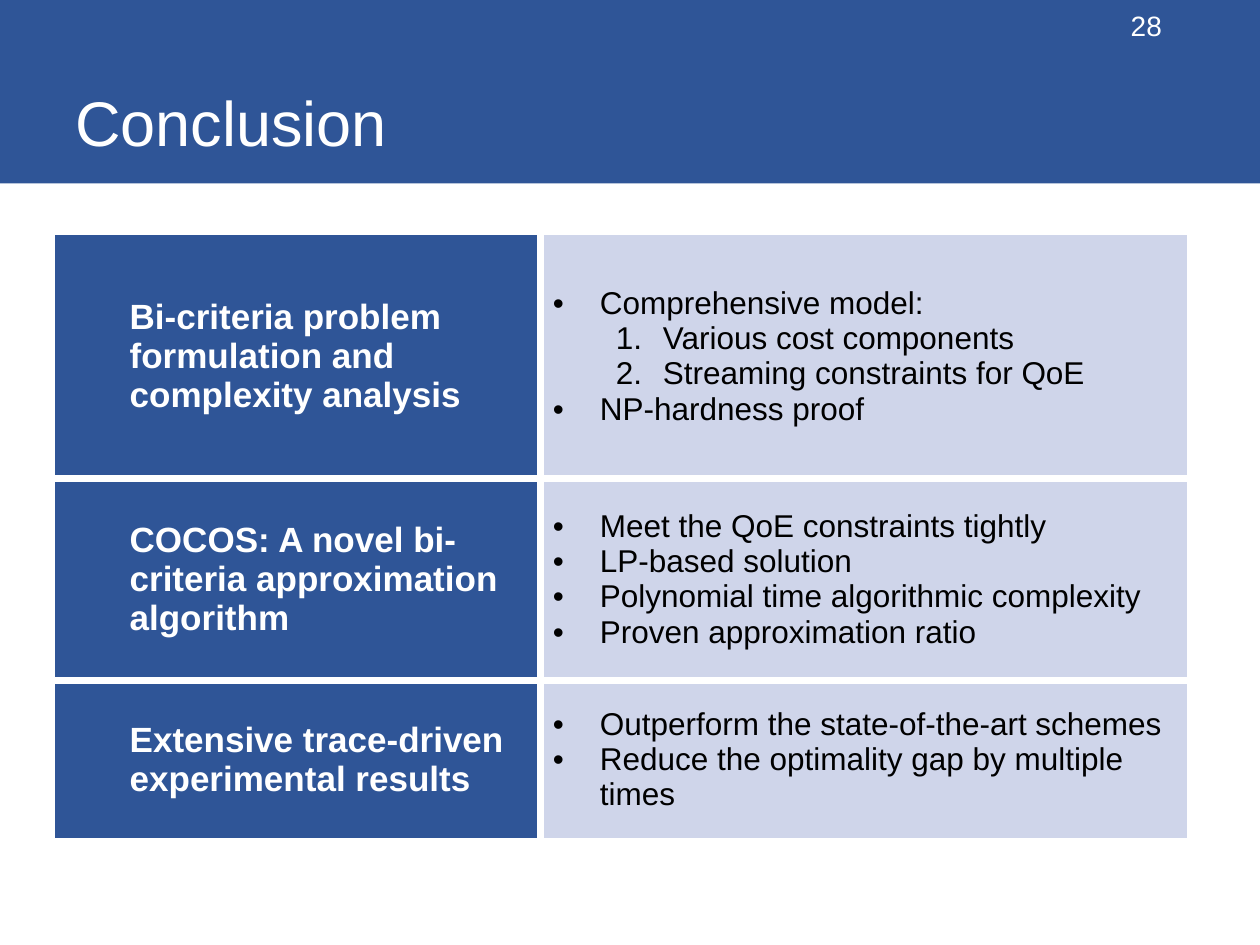
from collections import namedtuple

from lxml import etree
from pptx import Presentation
from pptx import util as u
from pptx.dml.color import RGBColor
from pptx.enum import shapes, text
from pptx.oxml import ns

BLUE = RGBColor(0x2F, 0x55, 0x97)
PALE = RGBColor(0xCF, 0xD5, 0xEA)
WHITE = RGBColor(0xFF, 0xFF, 0xFF)
BLACK = RGBColor(0, 0, 0)
FONT = "Arial"

THIN, THICK = u.Pt(1), u.Pt(4.5)
HANG = u.Cm(0.95)
STEP = u.Cm(1.27)
COLUMN_SHARE = 0.43  # width of the heading column

Box = namedtuple("Box", "left top width height")

# Heading, row height in cm, points as (level, text)
FINDINGS = [
    ("Bi-criteria problem formulation and complexity analysis", 4.93, [
        (0, "Comprehensive model:"),
        (1, "Various cost components"),
        (1, "Streaming constraints for QoE"),
        (0, "NP-hardness proof")]),
    ("COCOS: A novel bi-criteria approximation algorithm", 4.06, [
        (0, "Meet the QoE constraints tightly"),
        (0, "LP-based solution"),
        (0, "Polynomial time algorithmic complexity"),
        (0, "Proven approximation ratio")]),
    ("Extensive trace-driven experimental results", 3.2, [
        (0, "Outperform the state-of-the-art schemes"),
        (0, "Reduce the optimality gap by multiple times")]),
]


def add_span(para, words, size, color, bold=False):
    span = para.add_run()
    span.text = words
    span.font.name = FONT
    span.font.size = u.Pt(size)
    span.font.bold = bold
    span.font.color.rgb = color


def add_label(page, box, words, size, anchor, align):
    frame = page.shapes.add_textbox(*box).text_frame
    frame.word_wrap = True
    frame.vertical_anchor = anchor
    para = frame.paragraphs[0]
    para.alignment = align
    add_span(para, words, size, WHITE)


def indent(para, level, margin, hang=0):
    para.level = level
    props = para._p.get_or_add_pPr()
    props.set("marL", str(int(margin)))
    props.set("indent", str(-int(hang)))
    return props


def mark_point(para, level):
    """Bullet the top level and number the level below it."""
    props = indent(para, level, HANG + level * STEP, HANG)
    if level:
        etree.SubElement(props, ns.qn("a:buFont"), typeface="+mj-lt")
        etree.SubElement(props, ns.qn("a:buAutoNum"), type="arabicPeriod")
    else:
        etree.SubElement(props, ns.qn("a:buFont"), typeface=FONT)
        etree.SubElement(props, ns.qn("a:buChar"), char="•")


def style_cell(cell, color, row, column, last_row):
    """Fill a cell; its white borders are thick inside the table, thin outside."""
    inner = {"L": column > 0, "R": column == 0, "T": row > 0, "B": row < last_row}
    props = cell._tc.get_or_add_tcPr()
    for side, is_inner in inner.items():
        line = etree.SubElement(props, ns.qn(f"a:ln{side}"),
                                w=str(int(THICK if is_inner else THIN)))
        fill = etree.SubElement(line, ns.qn("a:solidFill"))
        etree.SubElement(fill, ns.qn("a:srgbClr"), val=str(WHITE))
    cell.fill.solid()
    cell.fill.fore_color.rgb = color
    cell.vertical_anchor = text.MSO_ANCHOR.MIDDLE


def add_banner(page, box, title, number):
    band = page.shapes.add_shape(shapes.MSO_SHAPE.RECTANGLE, *box)
    band.shadow.inherit = False
    band.fill.solid()
    band.fill.fore_color.rgb = BLUE
    band.line.fill.background()

    title_box = Box(box.left + u.Cm(1.27), box.top, u.Cm(22.4), box.height - u.Cm(0.36))
    add_label(page, title_box, title, 36, text.MSO_ANCHOR.BOTTOM, text.PP_ALIGN.LEFT)

    width = u.Cm(6.83)
    number_box = Box(title_box.left + title_box.width - width, box.top, width, u.Cm(1.02))
    add_label(page, number_box, number, 16, text.MSO_ANCHOR.MIDDLE, text.PP_ALIGN.RIGHT)


def add_findings(page, box, findings):
    table = page.shapes.add_table(len(findings), 2, *box).table
    table.first_row = table.horz_banding = False
    heading_width = u.Cm(round(box.width * COLUMN_SHARE / u.Cm(1), 1))
    table.columns[0].width = heading_width
    table.columns[1].width = box.width - heading_width

    for row, (heading, height, points) in enumerate(findings):
        table.rows[row].height = u.Cm(height)
        for column, color in enumerate((BLUE, PALE)):
            style_cell(table.cell(row, column), color, row, column, len(findings) - 1)

        para = table.cell(row, 0).text_frame.paragraphs[0]
        indent(para, 1, STEP)
        add_span(para, heading, 20, WHITE, bold=True)

        frame = table.cell(row, 1).text_frame
        for index, (level, words) in enumerate(points):
            para = frame.add_paragraph() if index else frame.paragraphs[0]
            mark_point(para, level)
            add_span(para, words, 18, BLACK)


def main():
    deck = Presentation()
    deck.slide_width, deck.slide_height = u.Cm(25.4), u.Cm(19.05)
    page = deck.slides.add_slide(deck.slide_layouts[6])
    add_banner(page, Box(0, 0, deck.slide_width, u.Cm(3.7)), "Conclusion", "28")
    table_height = u.Cm(sum(height for _, height, _ in FINDINGS))
    add_findings(page, Box(u.Cm(1.09), u.Cm(4.72), u.Cm(22.86), table_height), FINDINGS)
    deck.save("out.pptx")


if __name__ == "__main__":
    main()
